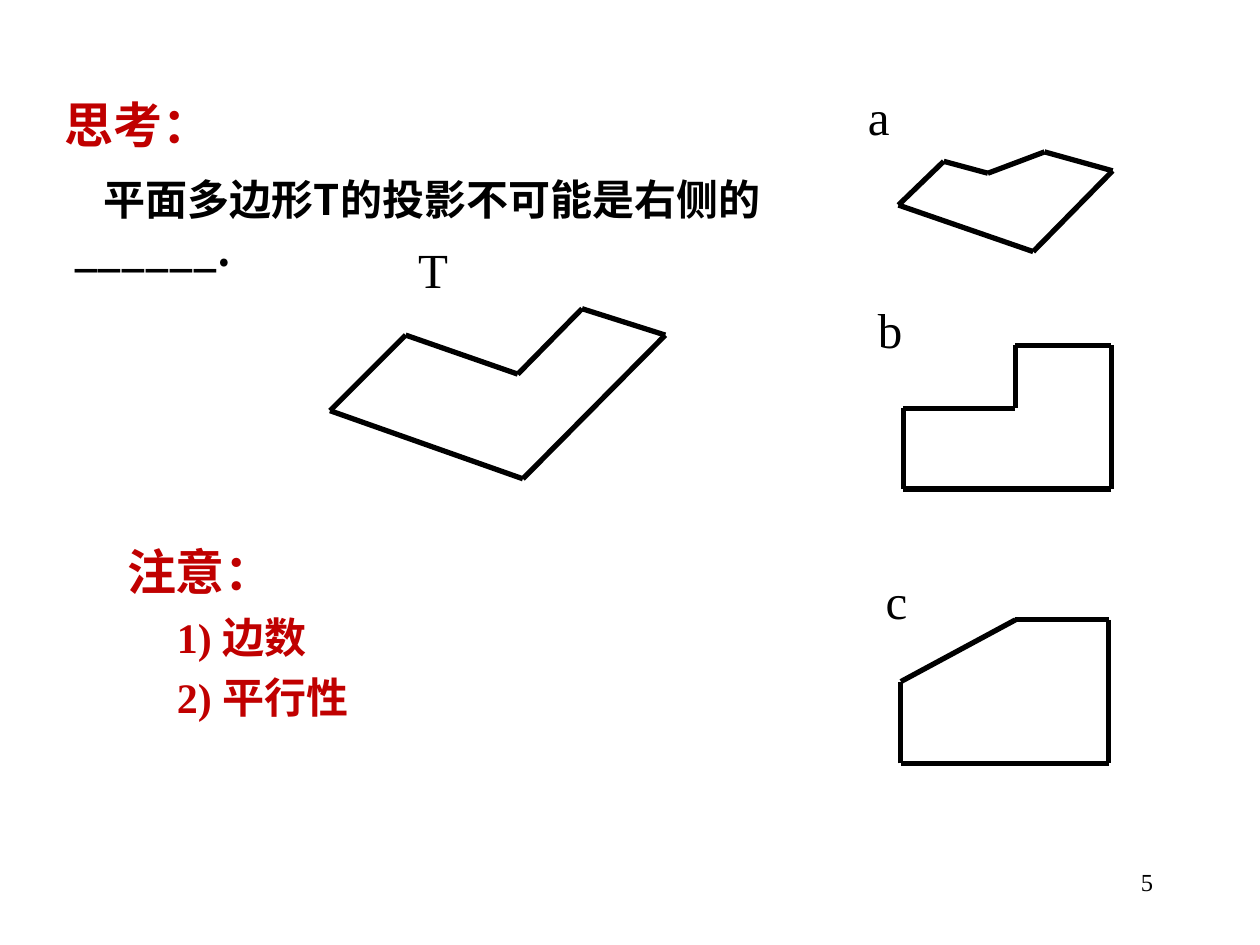
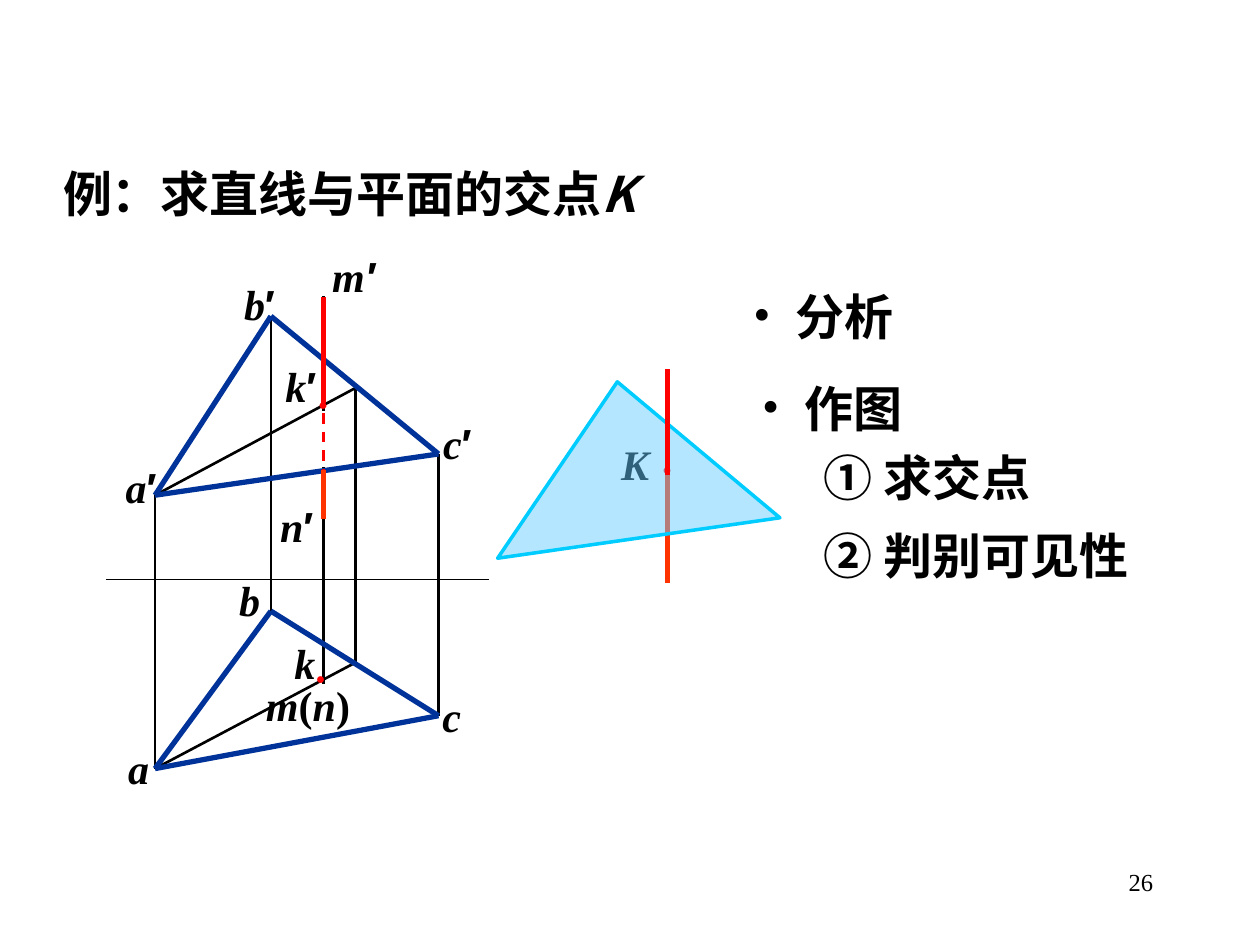
from lxml import etree
from pptx import Presentation
from pptx.dml.color import RGBColor
from pptx.enum.dml import MSO_LINE
from pptx.enum.shapes import MSO_CONNECTOR
from pptx.enum.text import MSO_ANCHOR, MSO_AUTO_SIZE, PP_ALIGN
from pptx.oxml.ns import qn
from pptx.util import Pt

LEFT, MID, RIGHT = PP_ALIGN.LEFT, PP_ALIGN.CENTER, PP_ALIGN.RIGHT
TOP, HALF = MSO_ANCHOR.TOP, MSO_ANCHOR.MIDDLE
FIXED = MSO_AUTO_SIZE.NONE
STRAIGHT = MSO_CONNECTOR.STRAIGHT
DASH = MSO_LINE.DASH

INK = {
    "black": "000000", "white": "FFFFFF", "dark": "C00000", "red": "FF0000",
    "orange": "FF3300", "blue": "003399", "sky": "66CCFF", "cyan": "00CCFF",
}
SERIF, SANS, ARIAL = "Times New Roman", "Noto Sans CJK SC", "Arial"


def write(shape, paras, align=LEFT, anchor=TOP, wrap=True):
    """Each paragraph is a list of runs: text, size, colour, face, bold, italic."""
    frame = shape.text_frame
    frame.auto_size = FIXED
    frame.word_wrap = wrap
    frame.vertical_anchor = anchor
    for i, runs in enumerate(paras):
        para = frame.add_paragraph() if i else frame.paragraphs[0]
        para.alignment = align
        for text, size, ink, face, bold, slant in runs:
            run = para.add_run()
            run.text = text
            font = run.font
            font.size, font.name = Pt(size), face
            font.bold, font.italic = bold, slant
            font.color.rgb = RGBColor.from_string(INK[ink])
            if any(ch >= "一" for ch in text):
                east = etree.SubElement(run._r.get_or_add_rPr(), qn("a:ea"))
                east.set("typeface", SANS)
    return frame.paragraphs


def draw(slide, start, end, ink="black", width=1.5):
    line = slide.shapes.add_connector(STRAIGHT, *map(Pt, start + end))
    line.line.color.rgb = RGBColor.from_string(INK[ink])
    line.line.width = Pt(width)
    etree.SubElement(line._element.spPr, qn("a:effectLst"))
    return line


deck = Presentation()
deck.slide_width, deck.slide_height = Pt(720), Pt(540)

# Shared title and page number
heads = [
    ("5", (29.5, 50.4, 179.3, 41), [("思考：", 28, "dark", SERIF, True, False)]),
    ("26", (28.8, 90, 356.4, 41),
     [("例：求直线与平面的交点", 28, "black", SANS, True, False),
      ("K", 28, "black", SANS, True, True)]),
]
pages = []
for num, box, runs in heads:
    slide = deck.slides.add_slide(deck.slide_layouts[5])
    title = slide.shapes.title
    title.left, title.top, title.width, title.height = map(Pt, box)
    write(title, [runs], anchor=HALF)
    foot = slide.shapes.add_textbox(Pt(516.2), Pt(491.8), Pt(149.8), Pt(36))
    write(foot, [[(num, 14, "black", SERIF, False, False)]], RIGHT)
    pages.append(slide)
quiz, task = pages

# Slide 1: polygon T and its three candidate projections
outlines = [
    [(188.6, 234.7), (231.8, 191.5), (295.9, 213.8),
     (332.6, 176.4), (380.2, 191.5), (298.8, 273.6)],
    [(513.4, 117.2), (539.3, 92.2), (564.5, 99),
     (596.9, 86.8), (635.8, 97.6), (590.4, 143.8)],
    [(516.2, 233.3), (580.3, 233.3), (580.3, 197.3),
     (635, 197.3), (635, 279.4), (516.2, 279.4)],
    [(514.8, 389.5), (580.3, 354.2), (633.6, 354.2),
     (633.6, 436.3), (514.8, 436.3)],
]
for points in outlines:
    for start, end in zip(points, points[1:] + points[:1]):
        draw(quiz, start, end, width=3)

for name, x, y in [("a", 488.9, 46), ("b", 494.6, 167.8),
                   ("c", 499, 322.6), ("T", 231.8, 133.2)]:
    label = quiz.shapes.add_textbox(Pt(x), Pt(y), Pt(72.7), Pt(41))
    write(label, [[(name, 28, "black", SERIF, False, False)]])

# Question
ask = quiz.shapes.add_textbox(Pt(35.3), Pt(95.8), Pt(439.2), Pt(64.8))
para = write(ask, [[("平面多边形T的投影不可能是右侧的______.",
                     24, "black", SANS, True, False)]])[0]
para._p.get_or_add_pPr().set("indent", str(Pt(17)))

# Hints
hint = quiz.shapes.add_textbox(Pt(65.5), Pt(306), Pt(179.3), Pt(115.2))
lines = [("注意：", 28), ("1) 边数", 24), ("2) 平行性", 24)]
paras = write(hint, [[(text, size, "dark", SERIF, True, False)]
                     for text, size in lines])
for para in paras[1:]:
    para.space_before = Pt(6)
    para._p.get_or_add_pPr().set("marL", str(Pt(28.5)))

# Slide 2: two views of the triangle, upper (1) and lower (2)
a1, b1, c1, d1 = (88.6, 283), (154.8, 180.7), (250.6, 259.4), (203, 221.8)
a2, b2, c2, d2 = (88.6, 439.2), (154.8, 349.2), (250.6, 409), (203, 378.7)
mx = 185
draw(task, (60.5, 331.2), (279.4, 331.2), width=0.75)
draw(task, (mx, 169.2), (mx, 391))
for start, end in [(a1, d1), (a2, d2), (a1, a2), (b1, b2), (c1, c2), (d1, d2)]:
    draw(task, start, end)
for a, b, c in [(a1, b1, c1), (a2, b2, c2)]:
    for start, end in [(a, b), (b, c), (c, a)]:
        draw(task, start, end, "blue", 3)

# Line MN: visible, hidden and visible parts
draw(task, (mx, 169.9), (mx, 230.4), "red", 3)
draw(task, (mx, 234.7), (mx, 267.1), "white", 3)
draw(task, (mx, 236.2), (mx, 272.2), "red").line.dash_style = DASH
draw(task, (mx, 268.6), (mx, 296.6), "orange", 3)

# Point names and dots, placed by their centres
names = [
    ("k", 174.2, 378.7), ("m(n)", 176, 402.5), ("b", 142.6, 342.7),
    ("m′", 202, 157.7), ("n′", 169.6, 300.2), ("c′", 261.4, 252.7),
    ("b′", 148.3, 173.5), ("a′", 80.6, 277.9), ("a", 79.2, 438.5),
    ("c", 258.1, 409), ("k′", 172, 220.3), ("K", 362.9, 265),
    ("●", 183.2, 387.7), ("●", 184.7, 239.8 - 9), ("●", 381.2, 268.2),
]
for name, x, y in names:
    label = task.shapes.add_textbox(Pt(x - 30), Pt(y - 18), Pt(60), Pt(36))
    if name == "●":
        runs = [(name, 9, "red", SERIF, True, False)]
    else:
        runs = [(ch, 24, "black", ARIAL if ch == "′" else SERIF, True,
                 ch.isalpha() or name == "m′") for ch in name]
    write(label, [runs], MID, HALF, False)

# Spatial sketch: the line passes through a translucent triangle
draw(task, (381.6, 270.7), (381.6, 333.4), "orange", 3)
build = task.shapes.build_freeform(Pt(352.8), Pt(218.2))
build.add_line_segments([(Pt(445.7), Pt(295.9)), (Pt(284.4), Pt(319))], close=True)
plane = build.convert_to_shape()
plane.shadow.inherit = False
plane.fill.solid()
plane.fill.fore_color.rgb = RGBColor.from_string(INK["sky"])
tint = plane._element.spPr.find(qn("a:solidFill")).find(qn("a:srgbClr"))
etree.SubElement(tint, qn("a:alpha")).set("val", "48000")
plane.line.color.rgb = RGBColor.from_string(INK["cyan"])
plane.line.width = Pt(2)
draw(task, (381.6, 211), (381.6, 271.4), "red", 3)

# Steps
steps = [
    ("分析", 423.4, 159.8, SERIF, True), ("作图", 428.4, 212.4, SERIF, True),
    ("① 求交点", 463.7, 252, SANS, False),
    ("② 判别可见性", 463.7, 296.6, SANS, False),
]
for text, x, y, face, dot in steps:
    step = task.shapes.add_textbox(Pt(x), Pt(y), Pt(215), Pt(41))
    para = write(step, [[(text, 28, "black", face, True, False)]], anchor=HALF)[0]
    if dot:
        props = para._p.get_or_add_pPr()
        props.set("marL", str(Pt(24)))
        props.set("indent", str(Pt(-24)))
        etree.SubElement(props, qn("a:buFont")).set("typeface", SERIF)
        etree.SubElement(props, qn("a:buChar")).set("char", "•")

deck.save("out.pptx")
